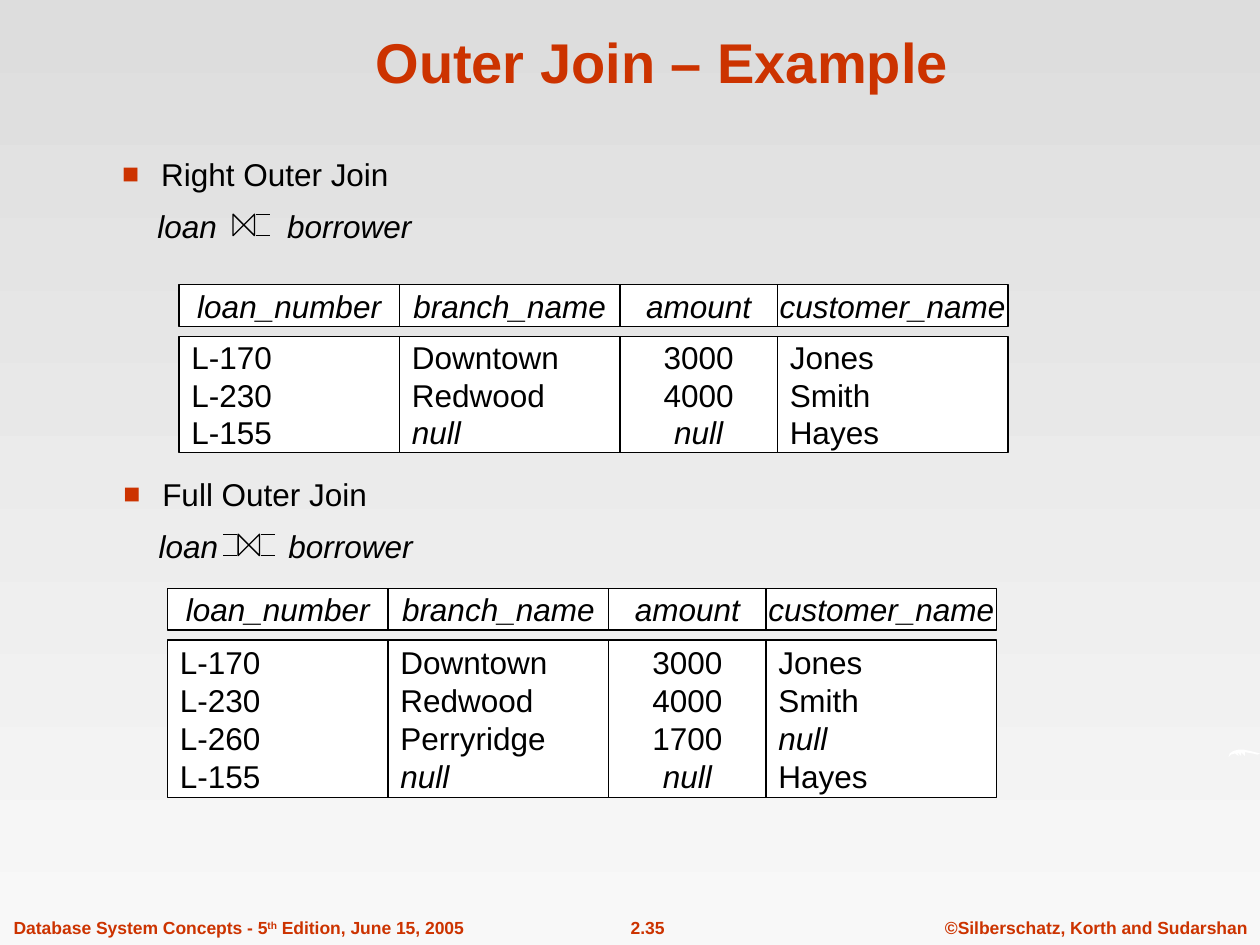
import pptx
import pptx.dml.color
import pptx.enum.shapes
import pptx.enum.text
import pptx.oxml
import pptx.oxml.ns
import pptx.util
from pptx.util import Inches

RED = pptx.dml.color.RGBColor(0xCC, 0x33, 0x00)
BLACK = pptx.dml.color.RGBColor(0, 0, 0)
WHITE = pptx.dml.color.RGBColor(0xFF, 0xFF, 0xFF)
DARK = pptx.dml.color.RGBColor(0xDD, 0xDD, 0xDD)
LIGHT = pptx.dml.color.RGBColor(0xF8, 0xF8, 0xF8)
ALIGN = pptx.enum.text.PP_ALIGN
ANCHOR = pptx.enum.text.MSO_ANCHOR
SHAPE = pptx.enum.shapes.MSO_SHAPE

HEADS = ["loan_number", "branch_name", "amount", "customer_name"]
WIDTHS = [1.75, 1.75, 1.25, 1.83]
RIGHT_ROWS = [
    ("L-170", "Downtown", "3000", "Jones"),
    ("L-230", "Redwood", "4000", "Smith"),
    ("L-155", "null", "null", "Hayes"),
]
FULL_ROWS = [
    ("L-170", "Downtown", "3000", "Jones"),
    ("L-230", "Redwood", "4000", "Smith"),
    ("L-260", "Perryridge", "1700", "null"),
    ("L-155", "null", "null", "Hayes"),
]
SWOOSH = [
    (9.75, 6.01), (9.76, 5.98), (9.79, 5.96), (9.83, 5.95), (9.87, 5.95),
    (9.92, 5.96), (9.96, 5.97), (10, 5.98), (9.98, 5.99), (9.94, 5.98),
    (9.88, 5.97), (9.88, 6), (9.85, 5.97), (9.85, 6), (9.82, 5.97),
    (9.83, 6), (9.8, 5.98), (9.77, 5.99),
]


def style(para, size, color, align=ALIGN.LEFT, bold=False, italic=False):
    para.alignment = align
    font = para.font
    font.name, font.size = "Arial", pptx.util.Pt(size)
    font.bold, font.italic = bold, italic
    font.color.rgb = color


def add_xml(props, body):
    space = pptx.oxml.ns.nsdecls("a")
    for node in pptx.oxml.parse_xml(f"<a:list {space}>{body}</a:list>"):
        props.append(node)


def add_title(slide, left, top, width, height):
    title = slide.shapes.title
    title.left, title.top = Inches(left), Inches(top)
    title.width, title.height = Inches(width), Inches(height)
    frame = title.text_frame
    frame.text = "Outer Join – Example"
    frame.vertical_anchor = ANCHOR.BOTTOM
    style(frame.paragraphs[0], 32, RED, ALIGN.CENTER, bold=True)


def add_note(slide, left, top, width, parts, align):
    box = slide.shapes.add_textbox(
        Inches(left), Inches(top), Inches(width), Inches(0.27))
    box.text_frame.word_wrap = False
    para = box.text_frame.paragraphs[0]
    style(para, 10, RED, align, bold=True)
    for text, lift in parts:
        run = para.add_run()
        run.text = text
        if lift:
            run.font._element.set("baseline", "30000")


def add_foot(slide, top):
    add_note(slide, 7.4, top, 2.6,
             [("©Silberschatz, Korth and Sudarshan", False)], ALIGN.CENTER)
    add_note(slide, 4.65, top, 0.98, [("2.35", False)], ALIGN.CENTER)
    add_note(slide, 0.01, top, 3.81,
             [("Database System Concepts - 5", False), ("th", True),
              (" Edition, June 15, 2005", False)], ALIGN.LEFT)


def add_swoosh(slide):
    points = [(Inches(x), Inches(y)) for x, y in SWOOSH]
    build = slide.shapes.build_freeform(*points[0])
    build.add_line_segments(points[1:], close=True)
    shape = build.convert_to_shape()
    shape.shadow.inherit = False
    shape.fill.solid()
    shape.fill.fore_color.rgb = WHITE
    shape.line.fill.background()


def add_cell(slide, left, top, width, height, lines, align, head=False):
    cell = slide.shapes.add_shape(
        SHAPE.RECTANGLE, Inches(left), Inches(top), Inches(width), Inches(height))
    cell.shadow.inherit = False
    cell.fill.solid()
    cell.fill.fore_color.rgb = WHITE
    cell.line.color.rgb = BLACK
    cell.line.width = pptx.util.Pt(0.75)
    frame = cell.text_frame
    frame.word_wrap = False
    frame.vertical_anchor = ANCHOR.MIDDLE
    frame.text = "\n".join(lines)
    for para in frame.paragraphs:
        style(para, 18, BLACK, align, italic=head or para.text == "null")


def add_grid(slide, left, top, height, rows):
    for head, width, *lines in zip(HEADS, WIDTHS, *rows):
        align = ALIGN.CENTER if head == "amount" else ALIGN.LEFT
        add_cell(slide, left, top, width, 0.33, [head], ALIGN.CENTER, head=True)
        add_cell(slide, left, top + 0.41, width, height, lines, align)
        left += width


def add_line(slide, left, right, y):
    line = slide.shapes.add_connector(
        pptx.enum.shapes.MSO_CONNECTOR.STRAIGHT,
        Inches(right), Inches(y), Inches(left), Inches(y))
    line.line.color.rgb = BLACK
    line.line.width = pptx.util.Pt(0.75)
    add_xml(line._element.spPr, "<a:effectLst/>")


def add_sign(slide, left, top, wings):
    size = 0.17
    bow = slide.shapes.add_shape(
        SHAPE.FLOWCHART_COLLATE, Inches(left), Inches(top), Inches(size), Inches(size))
    bow.rotation = 270
    bow.shadow.inherit = False
    bow.fill.background()
    bow.line.color.rgb = BLACK
    bow.line.width = pptx.util.Pt(0.75)
    for wing in wings:
        for y in (top, top + size):
            add_line(slide, left + wing, left + wing + 0.11, y)


def add_join(slide, left, top, name, shift, wings):
    box = slide.shapes.add_textbox(
        Inches(left), Inches(top), Inches(4.45), Inches(0.81))
    frame = box.text_frame
    frame.word_wrap = True
    frame.text = f"{name}\n\tloan\tborrower"
    head, terms = frame.paragraphs
    for para in (head, terms):
        style(para, 18, BLACK, italic=para is terms)
        para.space_before = pptx.util.Pt(7.9)
    props = head._element.get_or_add_pPr()
    props.set("marL", str(Inches(0.31)))
    props.set("indent", str(-Inches(0.31)))
    bullet = (f'<a:buClr><a:srgbClr val="{RED}"/></a:buClr><a:buSzPct val="90000"/>'
              '<a:buFont typeface="Arial"/><a:buChar char="■"/>')
    stops = "".join(f'<a:tab pos="{Inches(x)}" algn="l"/>' for x in (0.28, 1.31))
    for para, body in ((head, bullet), (terms, f"<a:tabLst>{stops}</a:tabLst>")):
        props = para._element.get_or_add_pPr()
        font = props.find(pptx.oxml.ns.qn("a:defRPr"))
        add_xml(props, body)
        props.append(font)
    add_sign(slide, left + shift, top + 0.52, wings)


def main():
    deck = pptx.Presentation()
    deck.slide_width, deck.slide_height = Inches(10), Inches(7.5)
    slide = deck.slides.add_slide(deck.slide_layouts[5])
    fill = slide.background.fill
    fill.gradient()
    fill.gradient_angle = 270
    for stop, color in zip(fill.gradient_stops, (DARK, LIGHT)):
        stop.color.rgb = color
    add_foot(slide, 7.23)
    add_swoosh(slide)
    add_title(slide, 0.84, 0.13, 8.83, 0.67)
    add_grid(slide, 1.42, 2.26, 0.92, RIGHT_ROWS)
    add_grid(slide, 1.33, 4.67, 1.25, FULL_ROWS)
    add_join(slide, 0.88, 3.72, "Full Outer Join", 1.01, [-0.12, 0.18])
    add_join(slide, 0.87, 1.18, "Right Outer Join", 0.98, [0.18])
    deck.save("out.pptx")


if __name__ == "__main__":
    main()
